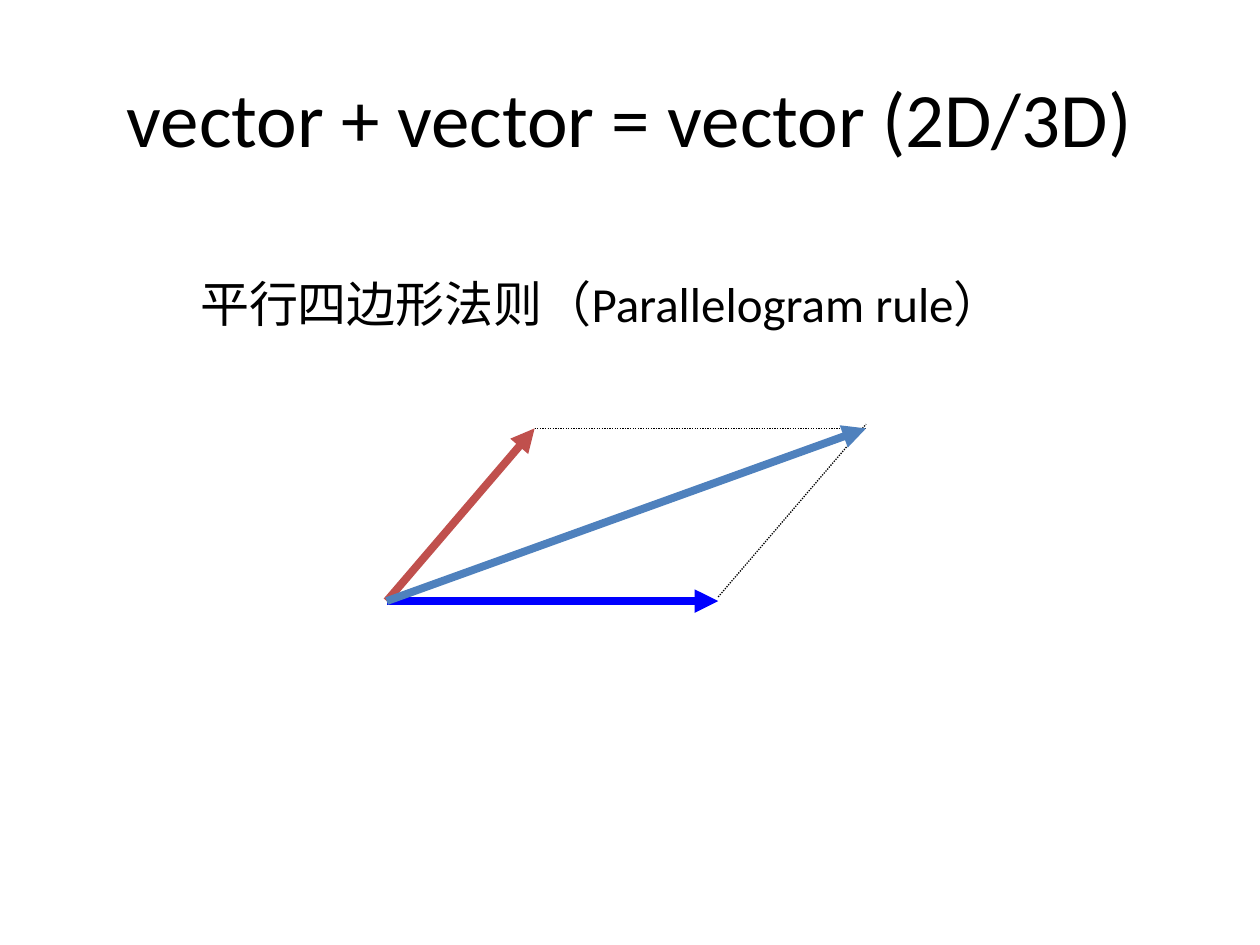
from typing import NamedTuple, Optional

from lxml import etree
from pptx import Presentation
from pptx.dml.color import RGBColor
from pptx.enum.dml import MSO_LINE
from pptx.enum.shapes import MSO_CONNECTOR
from pptx.enum.text import MSO_ANCHOR, MSO_AUTO_SIZE, PP_ALIGN
from pptx.oxml.ns import qn
from pptx.util import Pt

STRAIGHT = MSO_CONNECTOR.STRAIGHT
DOTTED = MSO_LINE.ROUND_DOT
MIDDLE, TOP = MSO_ANCHOR.MIDDLE, MSO_ANCHOR.TOP
CENTER, LEFT = PP_ALIGN.CENTER, PP_ALIGN.LEFT
FIT_SHAPE = MSO_AUTO_SIZE.SHAPE_TO_FIT_TEXT
TITLE_ONLY = 5
FONT = "Calibri"
BLACK, RED, BLUE, STEEL = "000000", "C0504D", "0000FF", "4F81BD"


class Point(NamedTuple):
    x: float
    y: float


class Segment(NamedTuple):
    start: Point
    end: Point
    color: str
    is_vector: bool


def rgb(color: str) -> RGBColor:
    return RGBColor.from_string(color)


def write_text(box, text: str, *, size: float, color: str = BLACK,
               align=LEFT, anchor=TOP, auto_size: Optional[MSO_AUTO_SIZE] = None) -> None:
    frame = box.text_frame
    frame.word_wrap = True
    frame.vertical_anchor = anchor
    if auto_size is not None:
        frame.auto_size = auto_size
    para = frame.paragraphs[0]
    para.alignment = align
    span = para.add_run()
    span.text = text
    span.font.name = FONT
    span.font.size = Pt(size)
    span.font.color.rgb = rgb(color)


def draw_segment(slide, segment: Segment) -> None:
    connector = slide.shapes.add_connector(
        STRAIGHT, *(Pt(value) for value in (*segment.start, *segment.end)))
    line = connector.line
    line.color.rgb = rgb(segment.color)
    line.width = Pt(4.5 if segment.is_vector else 0.75)
    if segment.is_vector:
        outline = line._get_or_add_ln()
        etree.SubElement(outline, qn("a:tailEnd"), type="triangle")
    else:
        line.dash_style = DOTTED
    etree.SubElement(connector._element.spPr, qn("a:effectLst"))


def main() -> None:
    deck = Presentation()
    deck.slide_width, deck.slide_height = Pt(720), Pt(540)
    slide = deck.slides.add_slide(deck.slide_layouts[TITLE_ONLY])

    # Title
    title = slide.shapes.title
    title.left, title.top, title.width, title.height = Pt(36), Pt(21.6), Pt(648), Pt(90)
    write_text(title, "vector + vector = vector (2D/3D)", size=44,
               align=CENTER, anchor=MIDDLE)

    # Parallelogram: two vectors, the dotted opposite sides and the sum
    origin = Point(221, 343.5)
    first_tip = Point(305.5, 244.8)
    second_tip = Point(410.4, 343.5)
    sum_tip = Point(first_tip.x + second_tip.x - origin.x, first_tip.y)
    side_lift = 2.4
    for segment in (
        Segment(origin, first_tip, RED, True),
        Segment(origin, second_tip, BLUE, True),
        Segment(first_tip, sum_tip, BLACK, False),
        Segment(Point(second_tip.x, second_tip.y - side_lift),
                Point(sum_tip.x, sum_tip.y - side_lift), BLACK, False),
        Segment(origin, sum_tip, STEEL, True),
    ):
        draw_segment(slide, segment)

    # Name of the rule
    caption = slide.shapes.add_textbox(Pt(107.3), Pt(152.6), Pt(478), Pt(41))
    write_text(caption, "平行四边形法则（Parallelogram rule）", size=28, auto_size=FIT_SHAPE)

    deck.save("out.pptx")


if __name__ == "__main__":
    main()
